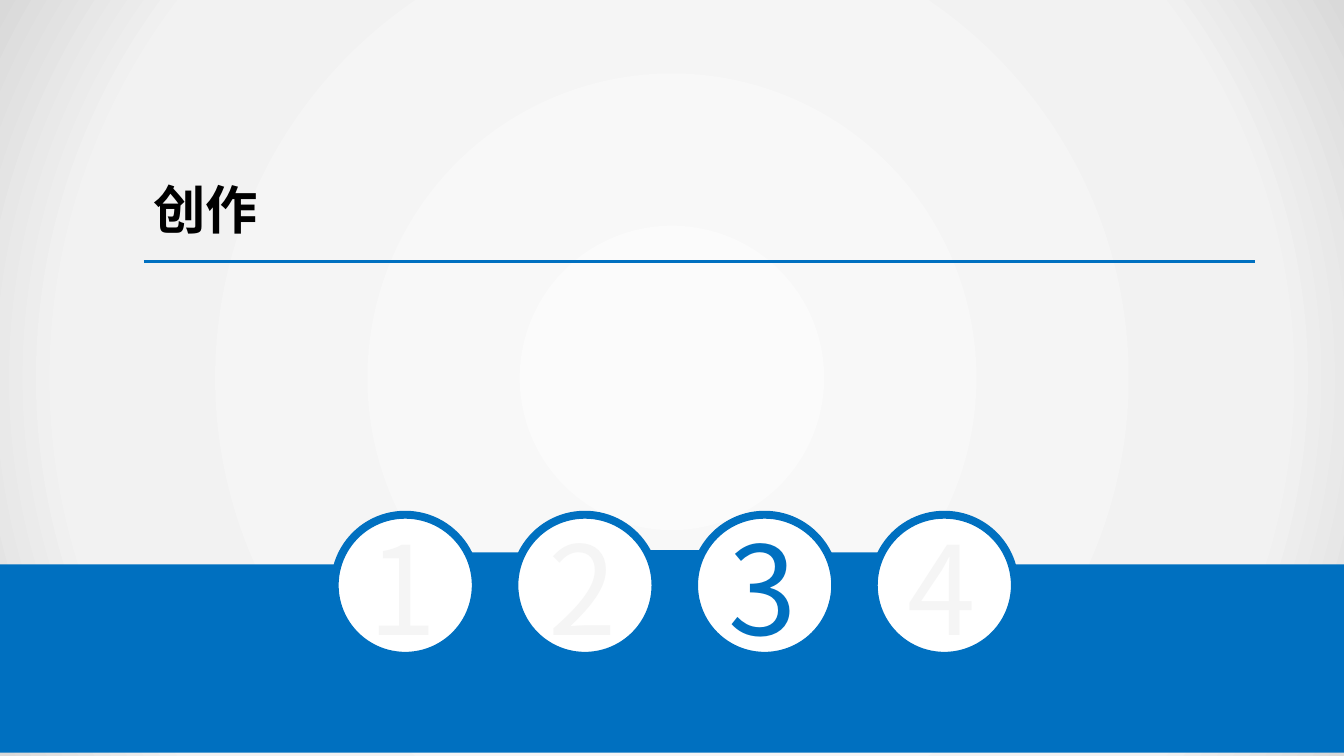
import math
from lxml import etree
from pptx import Presentation
from pptx import util as u
from pptx.dml.color import RGBColor
from pptx.enum import shapes, text
from pptx.oxml import parse_xml
from pptx.oxml.ns import qn

BLUE = RGBColor(0x00, 0x70, 0xC0)
WHITE = RGBColor(0xFF, 0xFF, 0xFF)
BLACK = RGBColor(0x00, 0x00, 0x00)
PALE = RGBColor(0xF5, 0xF5, 0xF5)
GREY = RGBColor(0xF2, 0xF2, 0xF2)
GLOW = [(0, RGBColor(0xFB, 0xFB, 0xFB)), (79, GREY), (100, RGBColor(0xD9, 0xD9, 0xD9))]

COLUMNS, ROWS = 100, 56.25  # square cells of a tenth of an inch


class SlideStyle:
    font_name = "Noto Sans CJK SC"

    def __init__(self, presentation):
        self.cell = presentation.slide_width / COLUMNS
        self.slide = presentation.slides.add_slide(presentation.slide_layouts[6])
        self.shapes = self.slide.shapes

    def grid(self, *cells):
        return [u.Emu(round(value * self.cell)) for value in cells]

    def paint(self, shape, fill, line=None, width=0):
        shape.shadow.inherit = False
        shape.fill.solid()
        shape.fill.fore_color.rgb = fill
        if line is None:
            shape.line.fill.background()
        else:
            shape.line.color.rgb = line
            shape.line.width = u.Pt(width)
        return shape

    def preset(self, kind, box, fill, line=None, width=0):
        return self.paint(self.shapes.add_shape(kind, *self.grid(*box)), fill, line, width)

    def radial(self, box, stops):
        shape = self.preset(shapes.MSO_SHAPE.RECTANGLE, box, GREY)
        stop_list = "".join(f'<a:gs pos="{position * 1000}"><a:srgbClr val="{color}"/></a:gs>'
                            for position, color in stops)
        gradient = parse_xml(
            '<a:gradFill xmlns:a="http://schemas.openxmlformats.org/drawingml/2006/main">'
            f'<a:gsLst>{stop_list}</a:gsLst><a:path path="circle">'
            '<a:fillToRect l="50000" t="50000" r="50000" b="50000"/></a:path></a:gradFill>')
        properties = shape._element.spPr
        properties.replace(properties.find(qn("a:solidFill")), gradient)

    def outline(self, points, fill):
        builder = self.shapes.build_freeform(*points[0], scale=self.cell)
        builder.add_line_segments(points[1:], close=True)
        return self.paint(builder.convert_to_shape(), fill)

    def rule(self, start, end, color, width):
        line = self.shapes.add_connector(shapes.MSO_CONNECTOR.STRAIGHT, *self.grid(*start, *end))
        line.line.color.rgb = color
        line.line.width = u.Pt(width)
        etree.SubElement(line._element.spPr, qn("a:effectLst"))

    def label(self, words, box, color, size, frame_format, bold=False):
        frame = self.shapes.add_textbox(*self.grid(*box)).text_frame
        for name, value in frame_format.items():
            setattr(frame, name, value)
        run = frame.paragraphs[0].add_run()
        run.text = words
        font_format = {"name": self.font_name, "size": u.Pt(size), "bold": bold}
        for name, value in font_format.items():
            setattr(run.font, name, value)
        run.font.color.rgb = color
        east_asian = etree.SubElement(run.font._element, qn("a:ea"))
        east_asian.set("typeface", self.font_name)


def main():
    presentation = Presentation()
    presentation.slide_width = u.Inches(10)
    presentation.slide_height = u.Inches(5.625)
    style = SlideStyle(presentation)

    # Background
    background = style.slide.background.fill
    background.solid()
    background.fore_color.rgb = GREY
    style.radial((0, 0, COLUMNS, ROWS), GLOW)

    # Bridges between the step circles
    rectangle = shapes.MSO_SHAPE.RECTANGLE
    style.preset(rectangle, (48.2, 41.1, 4.7, 3.9), BLUE, BLUE, 2)
    for left in (60.8, 34.6):
        style.preset(rectangle, (left, 41.1, 4.7, 4.1), BLUE)

    # Bottom band, with a round notch under each bridge
    step, band_top, notch_radius = 13.37, 41.75, 1.65
    band = [(0.1, band_top)]
    for notch in range(3):
        center = 36.85 + notch * step
        for degrees in range(180, -1, -15):
            angle = math.radians(degrees)
            band.append((center + notch_radius * math.cos(angle),
                         band_top + notch_radius * math.sin(angle)))
    band += [(COLUMNS, band_top), (COLUMNS, ROWS), (0.1, ROWS)]
    style.outline(band, BLUE)

    # Step circles
    lefts = [24.9 + index * step for index in range(4)]
    for left in lefts:
        style.preset(shapes.MSO_SHAPE.OVAL, (left, 38.3, 10.5, 10.5), WHITE, BLUE, 4.25)

    # Section title and its rule
    title_format = {"word_wrap": True, "vertical_anchor": text.MSO_ANCHOR.MIDDLE,
                    "margin_left": u.Inches(0.07), "margin_right": u.Inches(0.07),
                    "margin_top": u.Inches(0.04), "margin_bottom": u.Inches(0.04)}
    style.label("创作", (10.7, 11.6, 42.4, 7.9), BLACK, 28, title_format, bold=True)
    style.rule((10.7, 19.45), (93.4, 19.45), BLUE, 1.25)

    # Step numbers, with the current one in blue
    current_step = 3
    number_format = {"word_wrap": False, "auto_size": text.MSO_AUTO_SIZE.SHAPE_TO_FIT_TEXT}
    for number, left in enumerate(lefts, 1):
        color = BLUE if number == current_step else PALE
        style.label(str(number), (left + 1.55, 37.6, 7, 12.1), color, 66, number_format)

    presentation.save("out.pptx")


if __name__ == "__main__":
    main()
